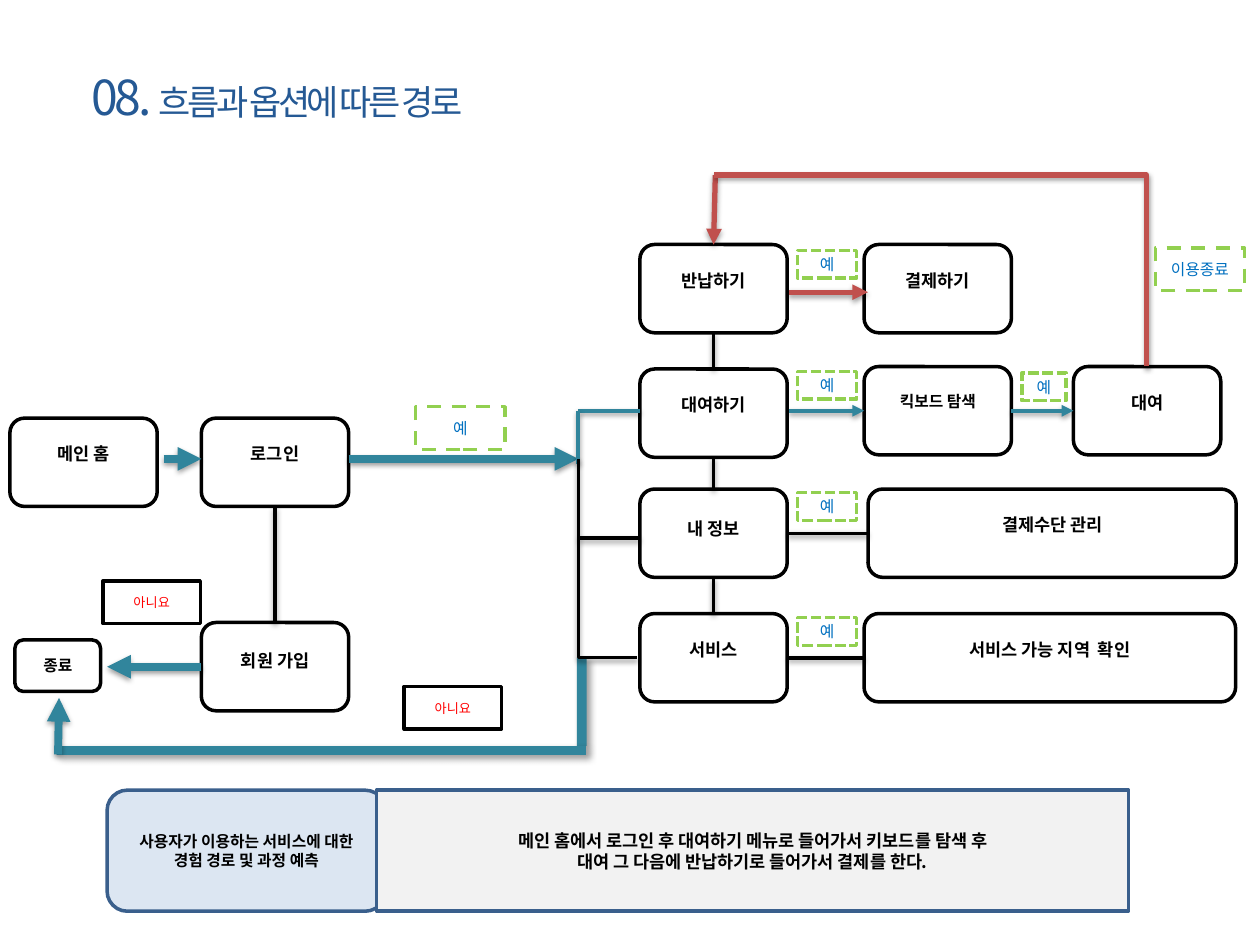
from dataclasses import dataclass
from typing import Optional

from lxml import etree
from pptx import Presentation
from pptx.dml.color import RGBColor
from pptx.enum import dml, shapes, text
from pptx.oxml import ns
from pptx.util import Cm, Pt

FONT = "Noto Sans CJK KR"
BLACK, WHITE, TEAL, RED = "000000", "FFFFFF", "31859C", "C0504D"
GREEN, BLUE, NAVY, BORDER = "92D050", "0070C0", "255994", "3A5F8C"
DASH, SHORT_DASH = dml.MSO_LINE.DASH, dml.MSO_LINE.SQUARE_DOT
RECT, ROUND = shapes.MSO_SHAPE.RECTANGLE, shapes.MSO_SHAPE.ROUNDED_RECTANGLE
TOP, LEFT, BOTTOM, RIGHT = range(4)
NODE_W, NODE_H = 2.97, 1.78
COL_HOME, COL_LOGIN, COL_MENU, COL_ACTION, COL_RENT = 0.2, 4.06, 12.9, 17.42, 21.64
TRUNK_X = 11.66


@dataclass
class Node:
    label: str
    x: float
    y: float
    w: float = NODE_W
    size: float = 10
    drop: float = 0.38


@dataclass
class Tag:
    label: str
    x: float
    y: float
    w: float = 1.19
    h: float = 0.56
    dash: Optional[dml.MSO_LINE] = SHORT_DASH
    line: str = GREEN
    color: str = BLUE
    size: float = 9


@dataclass
class Link:
    """Each end is a point in cm or a (node label, side) pair."""
    start: tuple
    end: tuple
    color: str = BLACK
    width: float = 2
    arrow: bool = False


NODES = [
    Node("메인 홈", COL_HOME, 8.43),
    Node("로그인", COL_LOGIN, 8.43),
    Node("회원 가입", COL_LOGIN, 12.55, drop=0.43),
    Node("반납하기", COL_MENU, 4.93),
    Node("대여하기", COL_MENU, 7.44),
    Node("내 정보", COL_MENU, 9.86, drop=0.46),
    Node("서비스", COL_MENU, 12.37),
    Node("결제하기", COL_ACTION, 4.93),
    Node("킥보드 탐색", COL_ACTION, 7.39, size=9),
    Node("대여", COL_RENT, 7.39),
    Node("결제수단 관리", 17.5, 9.86, w=7.42),
    Node("서비스 가능 지역  확인", COL_ACTION, 12.37, w=7.49),
]

LINKS = [
    Link((3.3, 9.25), (COL_LOGIN, 9.25), TEAL, 4.5, True),
    Link((7.03, 9.25), (TRUNK_X, 9.25), TEAL, 4.5, True),
    Link(("반납하기", BOTTOM), ("대여하기", TOP)),
    Link(("대여하기", BOTTOM), ("내 정보", TOP)),
    Link(("내 정보", BOTTOM), ("서비스", TOP)),
    Link((COL_MENU, 8.28), (TRUNK_X, 8.28), TEAL, 2.25),
    Link((COL_MENU, 10.85), (TRUNK_X, 10.85)),
    Link((TRUNK_X, 8.28), (TRUNK_X, 9.35), TEAL, 2.25),
    Link((15.9, 8.28), ("킥보드 탐색", LEFT), TEAL, 2.25, True),
    Link(("킥보드 탐색", RIGHT), ("대여", LEFT), TEAL, 2.25, True),
    Link(("서비스", RIGHT), ("서비스 가능 지역  확인", LEFT)),
    Link((14.42, 3.53), ("반납하기", TOP), RED, 3, True),
    Link((15.9, 5.89), (17.5, 5.89), RED, 3, True),
    Link(("내 정보", RIGHT), ("결제수단 관리", LEFT)),
    Link(("로그인", BOTTOM), ("회원 가입", TOP)),
    Link(("회원 가입", LEFT), (2.16, 13.44), TEAL, 4.5, True),
    Link((1.17, 15.21), (1.19, 14.07), TEAL, 4.5, True),
]

NO_TAG = dict(w=1.96, h=0.86, dash=None, line=BLACK, color="FF0000", size=7.5)
TAGS = [Tag("예", 16.08, y) for y in (5.05, 7.49, 9.93, 12.45)] + [
    Tag("예", 20.6, 7.52, w=0.89),
    Tag("예", 8.38, 8.2, 1.8, 0.86, DASH),
    Tag("이용종료", 23.29, 5.0, 1.8, 0.86, DASH),
    Tag("아니요", 2.08, 11.71, **NO_TAG),
    Tag("아니요", 8.15, 13.84, **NO_TAG),
]


def rgb(value: str) -> RGBColor:
    return RGBColor.from_string(value)


def style_run(r, size: float, color: str, bold: bool = False) -> None:
    r.font.size, r.font.bold, r.font.name = Pt(size), bold, FONT
    r.font.color.rgb = rgb(color)
    etree.SubElement(r.font._element, ns.qn("a:ea"), typeface=FONT)


def write(sp, content: str, size: float, color: str = BLACK, bold: bool = True) -> None:
    tf = sp.text_frame
    tf.word_wrap = True
    tf.text = content
    for p in tf.paragraphs:
        p.alignment = text.PP_ALIGN.CENTER
        for r in p.runs:
            style_run(r, size, color, bold)


def add_box(s, kind, x: float, y: float, w: float, h: float,
            fill: Optional[str] = None, line: Optional[str] = BLACK):
    sp = s.shapes.add_shape(kind, Cm(x), Cm(y), Cm(w), Cm(h))
    sp.shadow.inherit = False
    if fill:
        sp.fill.solid()
        sp.fill.fore_color.rgb = rgb(fill)
    else:
        sp.fill.background()
    if line:
        sp.line.color.rgb = rgb(line)
        sp.line.width = Pt(2)
    else:
        sp.line.fill.background()
    sp.text_frame.vertical_anchor = text.MSO_ANCHOR.MIDDLE
    return sp


def add_shadow(sp, blur: float, dist: float, angle: int, alpha: int) -> None:
    sp_pr = sp._element.spPr
    effects = sp_pr.find(ns.qn("a:effectLst"))
    if effects is None:
        effects = etree.SubElement(sp_pr, ns.qn("a:effectLst"))
    shadow = etree.SubElement(effects, ns.qn("a:outerShdw"), blurRad=str(Pt(blur)),
                              dist=str(Pt(dist)), dir=str(angle * 60000), rotWithShape="0")
    color = etree.SubElement(shadow, ns.qn("a:srgbClr"), val=BLACK)
    etree.SubElement(color, ns.qn("a:alpha"), val=str(alpha * 1000))


def style_line(c, color: str, width: float, arrow: bool = False) -> None:
    c.line.color.rgb = rgb(color)
    c.line.width = Pt(width)
    if arrow:
        etree.SubElement(c.line._get_or_add_ln(), ns.qn("a:tailEnd"), type="triangle")
    add_shadow(c, 3.1, 1.6, 90, 38)


def add_node(s, n: Node):
    sp = add_box(s, ROUND, n.x, n.y, n.w, NODE_H)
    label = s.shapes.add_textbox(Cm(n.x - 0.3), Cm(n.y + n.drop), Cm(n.w + 0.6), Cm(1.27))
    write(label, n.label, n.size)
    return sp


def add_link(s, link: Link, boxes: dict) -> None:
    (x1, y1), (x2, y2) = [(0, 0) if isinstance(e[0], str) else e
                          for e in (link.start, link.end)]
    c = s.shapes.add_connector(shapes.MSO_CONNECTOR.STRAIGHT, Cm(x1), Cm(y1), Cm(x2), Cm(y2))
    for end, connect in ((link.start, c.begin_connect), (link.end, c.end_connect)):
        if isinstance(end[0], str):
            connect(boxes[end[0]], end[1])
    style_line(c, link.color, link.width, link.arrow)


def add_corner(s, x1: float, y1: float, x2: float, y2: float, color: str, width: float) -> None:
    """Draw one bend, vertical first, as a quarter-turned bentConnector2."""
    cx, cy = (x1 + x2) / 2, (y1 + y2) / 2
    dx, dy = (y1 - y2) / 2, (x2 - x1) / 2
    c = s.shapes.add_connector(shapes.MSO_CONNECTOR.ELBOW, Cm(cx - dx), Cm(cy - dy),
                               Cm(cx + dx), Cm(cy + dy))
    c._element.spPr.find(ns.qn("a:prstGeom")).set("prst", "bentConnector2")
    c._element.spPr.find(ns.qn("a:xfrm")).set("rot", str(270 * 60000))
    style_line(c, color, width)


def add_title(s) -> None:
    tf = s.shapes.add_textbox(Cm(1.6), Cm(1.3), Cm(20.4), Cm(2.29)).text_frame
    tf.word_wrap = True
    tf.vertical_anchor = text.MSO_ANCHOR.MIDDLE
    tf.margin_bottom = Cm(1.15)
    for content, size in (("08. ", 27.5), ("흐름과 옵션에 따른 경로", 20)):
        r = tf.paragraphs[0].add_run()
        r.text = content
        style_run(r, size, NAVY)
        r.font._element.set("spc", "-200")


def main() -> None:
    prs = Presentation()
    prs.slide_width, prs.slide_height = Cm(25.4), Cm(19.05)
    s = prs.slides.add_slide(prs.slide_layouts[6])
    add_title(s)
    purpose = add_box(s, ROUND, 2.16, 15.93, 5.61, 2.44, "DCE6F2", BORDER)
    write(purpose, "사용자가 이용하는 서비스에 대한 경험 경로 및 과정 예측", 9)
    summary = add_box(s, RECT, 7.59, 15.93, 15.16, 2.44, "F2F2F2", BORDER)
    write(summary, "메인 홈에서 로그인 후 대여하기 메뉴로 들어가서 키보드를 탐색 후\n"
                   "대여 그 다음에 반납하기로 들어가서 결제를 한다.", 10)
    boxes = {n.label: add_node(s, n) for n in NODES}
    write(add_box(s, ROUND, 0.3, 12.9, 1.73, 1.04), "종료", 9)
    for bar in ((11.63, 13.26, 0.2, 1.78), (1.14, 15.04, 10.67, 0.18)):
        add_shadow(add_box(s, RECT, *bar, fill=TEAL, line=None), 4, 3, 45, 40)
    for link in LINKS:
        add_link(s, link, boxes)
    add_corner(s, 23.11, 7.39, 14.4, 3.53, RED, 3)
    add_corner(s, TRUNK_X, 9.25, 12.85, 13.26, BLACK, 2)
    for t in TAGS:
        sp = add_box(s, RECT, t.x, t.y, t.w, t.h, WHITE, t.line)
        if t.dash:
            sp.line.dash_style = t.dash
        write(sp, t.label, t.size, t.color, bold=False)
    prs.save("out.pptx")


if __name__ == "__main__":
    main()
